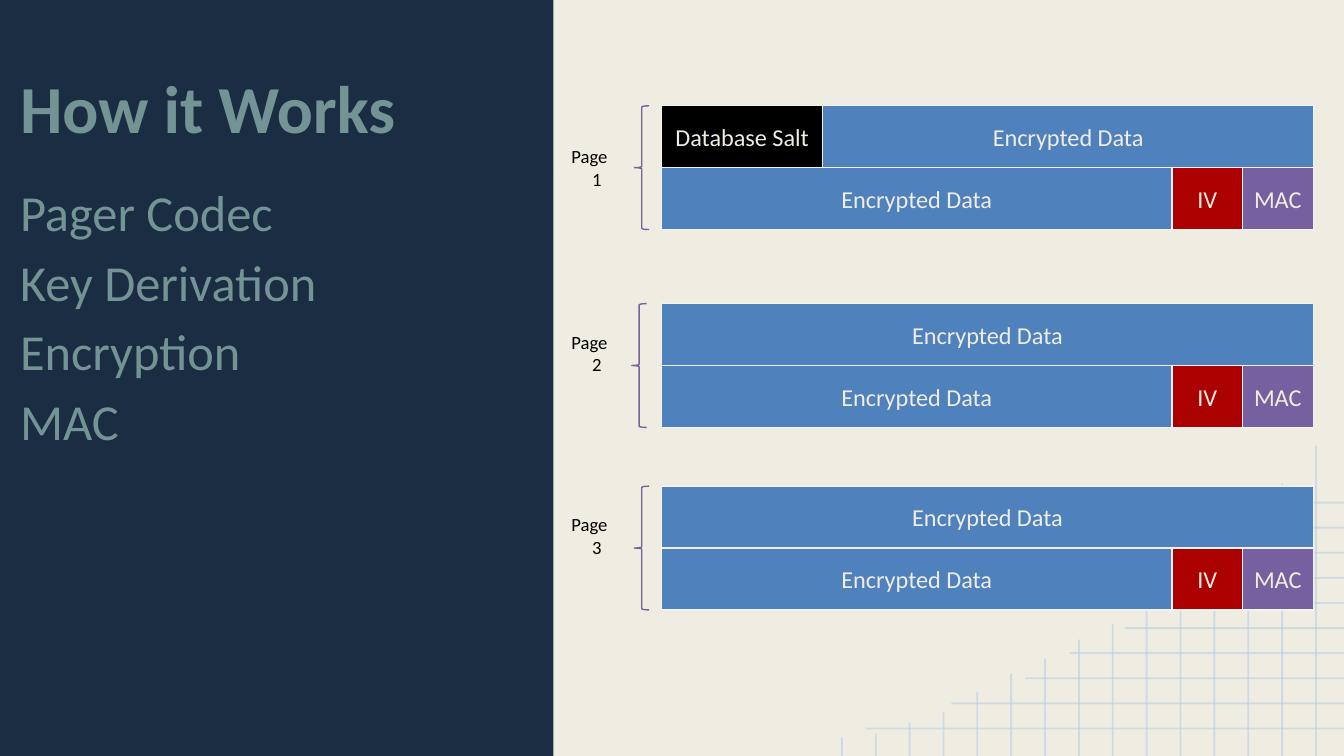
from dataclasses import dataclass
from lxml.etree import SubElement
from pptx import Presentation
from pptx.dml.color import RGBColor
from pptx.enum.shapes import MSO_CONNECTOR, MSO_SHAPE
from pptx.enum.text import MSO_ANCHOR, PP_ALIGN
from pptx.oxml.ns import qn
from pptx.util import Cm, Pt


@dataclass(frozen=True)
class Theme:
    font: str = "Calibri"
    background: RGBColor = RGBColor.from_string("EFEDE2")
    panel: RGBColor = RGBColor.from_string("1A2D43")
    heading: RGBColor = RGBColor.from_string("739395")
    grid: RGBColor = RGBColor.from_string("B7CCE4")
    border: RGBColor = RGBColor.from_string("F2F2F2")
    black: RGBColor = RGBColor.from_string("000000")
    data: RGBColor = RGBColor.from_string("4F81BD")
    iv: RGBColor = RGBColor.from_string("AB0101")
    mac: RGBColor = RGBColor.from_string("7760A0")
    title_size: Pt = Pt(36)
    topic_size: Pt = Pt(27)
    block_size: Pt = Pt(13)
    label_size: Pt = Pt(10)
    line_width: Pt = Pt(0.75)
    grid_width: Pt = Pt(1)


theme = Theme()


def write(frame, lines, size, color, inset_x, inset_y):
    frame.word_wrap = True
    frame.margin_left = frame.margin_right = Cm(inset_x)
    frame.margin_top = frame.margin_bottom = Cm(inset_y)
    frame.text = "\n".join(lines)
    for paragraph in frame.paragraphs:
        paragraph.font.name = theme.font
        paragraph.font.size = size
        paragraph.font.color.rgb = color


def add_grid_line(x1, y1, x2, y2):
    grid_line = slide.shapes.add_connector(
        MSO_CONNECTOR.STRAIGHT, Cm(x1), Cm(y1), Cm(x2), Cm(y2))
    grid_line.line.color.rgb = theme.grid
    grid_line.line.width = theme.grid_width
    properties = grid_line._element.spPr
    SubElement(properties, qn("a:effectLst"))
    tint = next(properties.iter(qn("a:srgbClr")))
    SubElement(tint, qn("a:alpha")).set("val", "54000")


slide_width, slide_height = 25.4, 14.29
presentation = Presentation()
presentation.slide_width = Cm(slide_width)
presentation.slide_height = Cm(slide_height)
slide = presentation.slides.add_slide(presentation.slide_layouts[6])
slide.background.fill.solid()
slide.background.fill.fore_color.rgb = theme.background

column_tops = [8.43, 9.14, 10.08, 10.59, 11, 11.35, 11.79, 12.09,
               12.45, 12.73, 13.08, 13.46, 13.67, 13.87, 13.94]
for index, top in enumerate(column_tops):
    x = 24.87 - index * 0.64
    add_grid_line(x, top, x, slide_height)

row_lefts = [24.66, 23.93, 23.34, 22.66, 22.02, 21.26, 20.22, 19.38, 17.98, 16.36]
row_gap = (13.77 - 9.5) / (len(row_lefts) - 1)
for index, left in enumerate(row_lefts):
    y = 9.5 + index * row_gap
    add_grid_line(slide_width, y, left, y)

panel_width, title_height = 10.46, 3.18
topics = ["Pager Codec", "Key Derivation", "Encryption", "MAC"]
for top, height, lines, size, bold, anchor in [
    (0, title_height, ["How it Works"], theme.title_size, True, MSO_ANCHOR.BOTTOM),
    (title_height, slide_height - title_height, topics, theme.topic_size, False, MSO_ANCHOR.TOP),
]:
    panel = slide.shapes.add_textbox(Cm(0), Cm(top), Cm(panel_width), Cm(height))
    panel.fill.solid()
    panel.fill.fore_color.rgb = theme.panel
    panel.text_frame.vertical_anchor = anchor
    write(panel.text_frame, lines, size, theme.heading, 0.38, 0.38)
    for index, paragraph in enumerate(panel.text_frame.paragraphs):
        paragraph.line_spacing = 0.9
        paragraph.font.bold = bold
        if index:
            paragraph.space_before = Pt(8)

pages_left, row_height = 12.5, 1.17
salted_row = [("Database Salt", 3.05, theme.black), ("Encrypted Data", 9.27, theme.data)]
full_row = [("Encrypted Data", 12.32, theme.data)]
closing_row = [("Encrypted Data", 9.65, theme.data), ("IV", 1.33, theme.iv),
               ("MAC", 1.34, theme.mac)]
pages = [
    (2, 11.99, 2.64, salted_row),
    (5.74, 11.94, 6.15, full_row),
    (9.19, 11.99, 9.6, full_row),
]
for number, (page_top, brace_left, label_top, opening_row) in enumerate(pages, start=1):
    for row_index, row in enumerate([opening_row, closing_row]):
        left = pages_left
        for caption, width, color in row:
            block = slide.shapes.add_shape(
                MSO_SHAPE.RECTANGLE, Cm(left), Cm(page_top + row_index * row_height),
                Cm(width), Cm(row_height))
            block.shadow.inherit = False
            block.fill.solid()
            block.fill.fore_color.rgb = color
            block.line.color.rgb = theme.border
            block.line.width = theme.line_width
            block.text_frame.vertical_anchor = MSO_ANCHOR.MIDDLE
            write(block.text_frame, [caption], theme.block_size, theme.background, 0.18, 0.1)
            block.text_frame.paragraphs[0].alignment = PP_ALIGN.CENTER
            left += width

    brace = slide.shapes.add_shape(
        MSO_SHAPE.LEFT_BRACE, Cm(brace_left), Cm(page_top), Cm(0.28), Cm(2 * row_height))
    brace.shadow.inherit = False
    brace.adjustments[0] = 0.08
    brace.fill.background()
    brace.line.color.rgb = theme.mac
    brace.line.width = theme.line_width

    label = slide.shapes.add_textbox(Cm(10.62), Cm(label_top), Cm(1.32), Cm(1.35))
    write(label.text_frame, ["Page", str(number)], theme.label_size, theme.black, 0.18, 0.1)
    label.text_frame.paragraphs[1].alignment = PP_ALIGN.CENTER

presentation.save("out.pptx")
